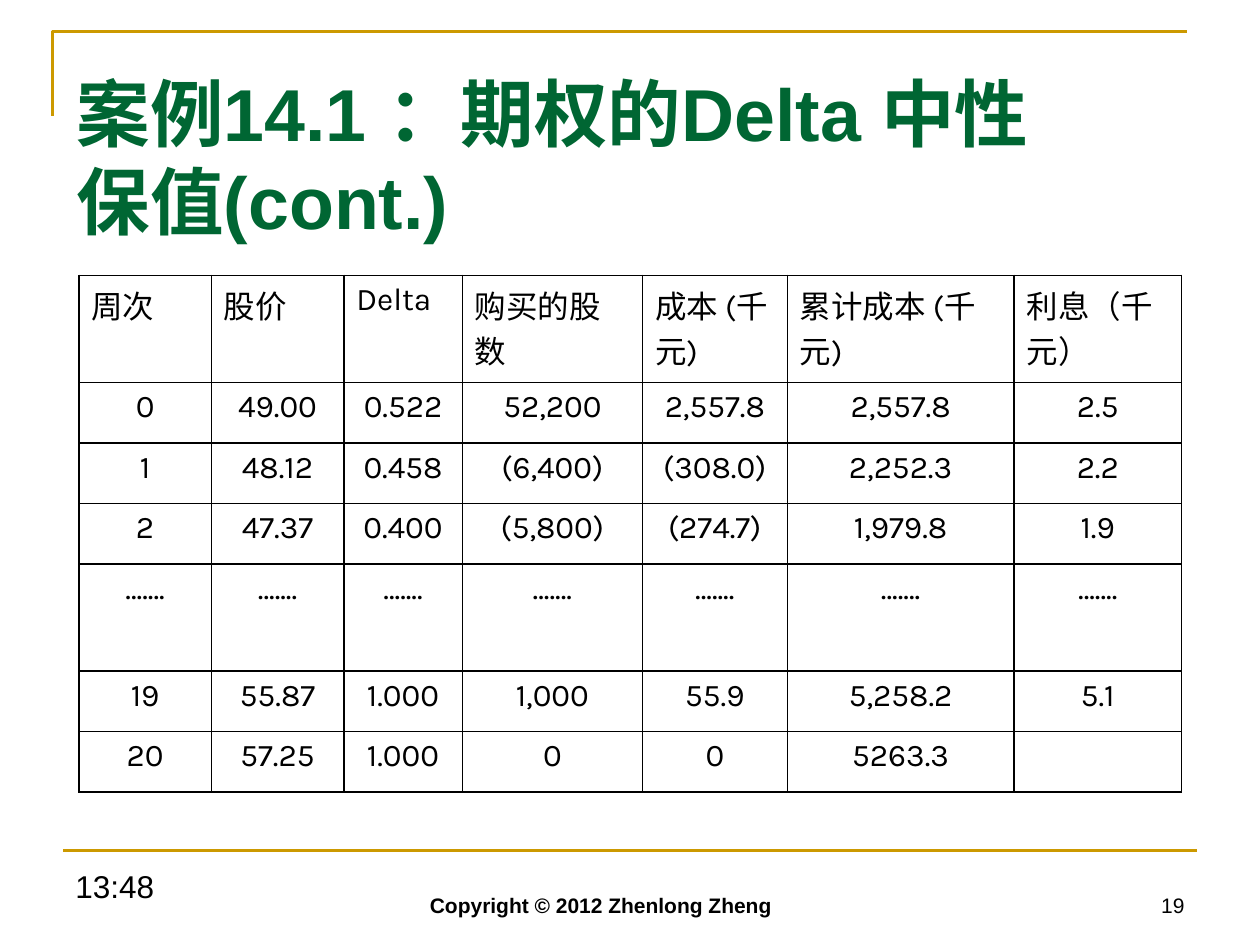
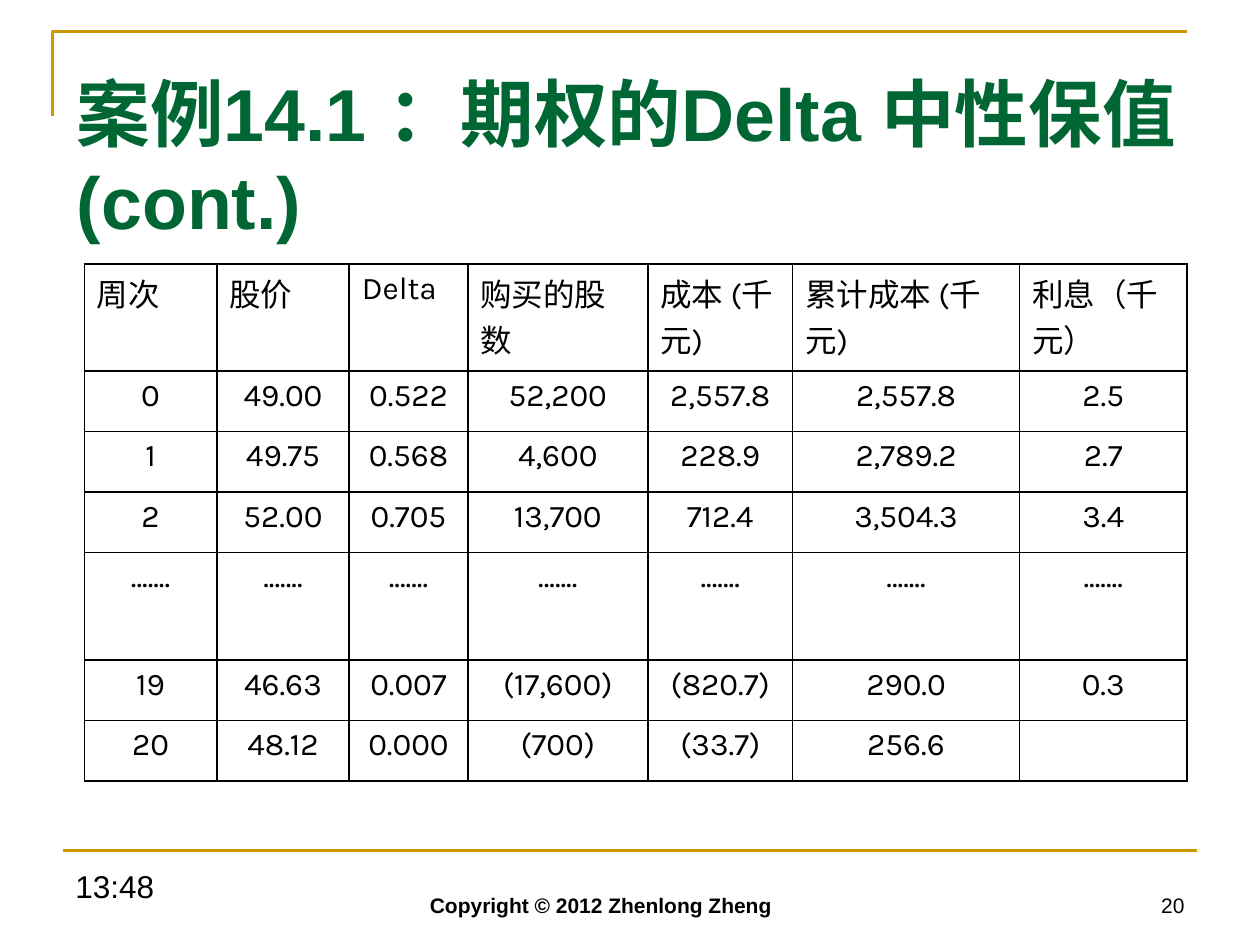
from lxml import etree
from pptx import Presentation
from pptx import util as u
from pptx.dml.color import RGBColor
from pptx.enum import shapes, text
from pptx.oxml import ns

GREEN, GOLD, BLACK = "006633", "CC9900", "000000"
TITLE = "案例14.1 ：期权的Delta 中性保值(cont.)"
HEADINGS = ["周次", "股价", "Delta", "购买的股数", "成本 (千元)", "累计成本 (千元)", "利息（千元）"]
COLUMN_WIDTHS = [2.67, 2.67, 2.39, 3.63, 2.92, 4.57, 3.38]
ROW_HEIGHTS = [2.16, 1.22, 1.22, 1.22, 2.16, 1.22, 1.22]
SKIPPED_WEEKS = ["......."] * len(HEADINGS)
FOOTER_TOP, FOOTER_HEIGHT = 17.35, 1.27

IN_THE_MONEY = [
    ["0", "49.00", "0.522", "52,200", "2,557.8", "2,557.8", "2.5"],
    ["1", "48.12", "0.458", "(6,400)", "(308.0)", "2,252.3", "2.2"],
    ["2", "47.37", "0.400", "(5,800)", "(274.7)", "1,979.8", "1.9"],
    SKIPPED_WEEKS,
    ["19", "55.87", "1.000", "1,000", "55.9", "5,258.2", "5.1"],
    ["20", "57.25", "1.000", "0", "0", "5263.3", ""],
]
OUT_OF_THE_MONEY = [
    ["0", "49.00", "0.522", "52,200", "2,557.8", "2,557.8", "2.5"],
    ["1", "49.75", "0.568", "4,600", "228.9", "2,789.2", "2.7"],
    ["2", "52.00", "0.705", "13,700", "712.4", "3,504.3", "3.4"],
    SKIPPED_WEEKS,
    ["19", "46.63", "0.007", "(17,600)", "(820.7)", "290.0", "0.3"],
    ["20", "48.12", "0.000", "(700)", "(33.7)", "256.6", ""],
]


def color(hex_string):
    return RGBColor.from_string(hex_string)


def write(frame, words, size=18, font="Arial", ink=BLACK, bold=False,
          align=text.PP_ALIGN.LEFT, spacing=None):
    paragraph = frame.paragraphs[0]
    paragraph.alignment = align
    if spacing:
        paragraph.line_spacing = u.Pt(spacing)
    if words:
        run = paragraph.add_run()
        run.text = words
        run.font.size, run.font.name, run.font.bold = u.Pt(size), font, bold
        run.font.color.rgb = color(ink)


def border_cell(cell):
    properties = cell._tc.get_or_add_tcPr()
    for position, side in enumerate(("lnL", "lnR", "lnT", "lnB")):
        edge = etree.Element(ns.qn(f"a:{side}"), w=str(u.Pt(1)))
        fill = etree.SubElement(edge, ns.qn("a:solidFill"))
        etree.SubElement(fill, ns.qn("a:srgbClr"), val=BLACK)
        properties.insert(position, edge)


class Deck:
    def __init__(self):
        self.presentation = Presentation()
        self.presentation.slide_width = u.Cm(25.4)
        self.presentation.slide_height = u.Cm(19.05)
        self.slide = None

    def new_slide(self):
        self.slide = self.presentation.slides.add_slide(self.presentation.slide_layouts[6])

    def style_line(self, line):
        line.color.rgb = color(GOLD)
        line.width = u.Pt(1.5)

    def corner(self):
        builder = self.slide.shapes.build_freeform(u.Cm(1.06), u.Cm(2.33))
        builder.add_line_segments(
            [(u.Cm(1.06), u.Cm(0.63)), (u.Cm(23.92), u.Cm(0.63))], close=False)
        bracket = builder.convert_to_shape()
        bracket.shadow.inherit = False
        bracket.fill.background()
        self.style_line(bracket.line)

    def rule(self, left, right, top):
        rule = self.slide.shapes.add_connector(
            shapes.MSO_CONNECTOR.STRAIGHT, u.Cm(left), u.Cm(top), u.Cm(right), u.Cm(top))
        etree.SubElement(rule._element.spPr, ns.qn("a:effectLst"))
        self.style_line(rule.line)

    def text_box(self, words, left, top, width, height,
                 anchor=text.MSO_ANCHOR.TOP, **style):
        frame = self.slide.shapes.add_textbox(
            u.Cm(left), u.Cm(top), u.Cm(width), u.Cm(height)).text_frame
        frame.word_wrap = True
        frame.vertical_anchor = anchor
        write(frame, words, **style)

    def footer(self, number):
        bottom = text.MSO_ANCHOR.BOTTOM
        self.text_box("Copyright © 2012 Zhenlong Zheng", 4.57, FOOTER_TOP, 15.09,
                      FOOTER_HEIGHT, bottom, size=12, bold=True, align=text.PP_ALIGN.CENTER)
        self.text_box(str(number), 18.21, FOOTER_TOP, 5.92, FOOTER_HEIGHT,
                      bottom, size=12, align=text.PP_ALIGN.RIGHT)
        self.text_box("13:48", 1.27, FOOTER_TOP, 5.92, FOOTER_HEIGHT)

    def hedging_table(self, weeks, left, top):
        rows = [HEADINGS] + weeks
        table = self.slide.shapes.add_table(
            len(rows), len(HEADINGS), u.Cm(left), u.Cm(top),
            u.Cm(sum(COLUMN_WIDTHS)), u.Cm(sum(ROW_HEIGHTS))).table
        table.first_row = table.horz_banding = False
        for column, width in zip(table.columns, COLUMN_WIDTHS):
            column.width = u.Cm(width)
        for row, height in zip(table.rows, ROW_HEIGHTS):
            row.height = u.Cm(height)
        for r, values in enumerate(rows):
            align = text.PP_ALIGN.CENTER if r else text.PP_ALIGN.LEFT
            for c, value in enumerate(values):
                cell = table.cell(r, c)
                cell.fill.background()
                border_cell(cell)
                write(cell.text_frame, value, font="Karla", align=align)

    def hedging_slide(self, number, title_width, weeks, table_left, table_top):
        self.new_slide()
        self.corner()
        self.rule(1.27, 24.13, 17.15)
        self.text_box(TITLE, 1.3, 1.25, title_width, 3.6,
                      size=42, ink=GREEN, bold=True, spacing=50.3)
        self.hedging_table(weeks, table_left, table_top)
        self.footer(number)


def main():
    deck = Deck()
    deck.hedging_slide(19, 20.96, IN_THE_MONEY, 1.59, 5.55)
    deck.hedging_slide(20, 23.44, OUT_OF_THE_MONEY, 1.7, 5.32)
    deck.presentation.save("out.pptx")


if __name__ == "__main__":
    main()
